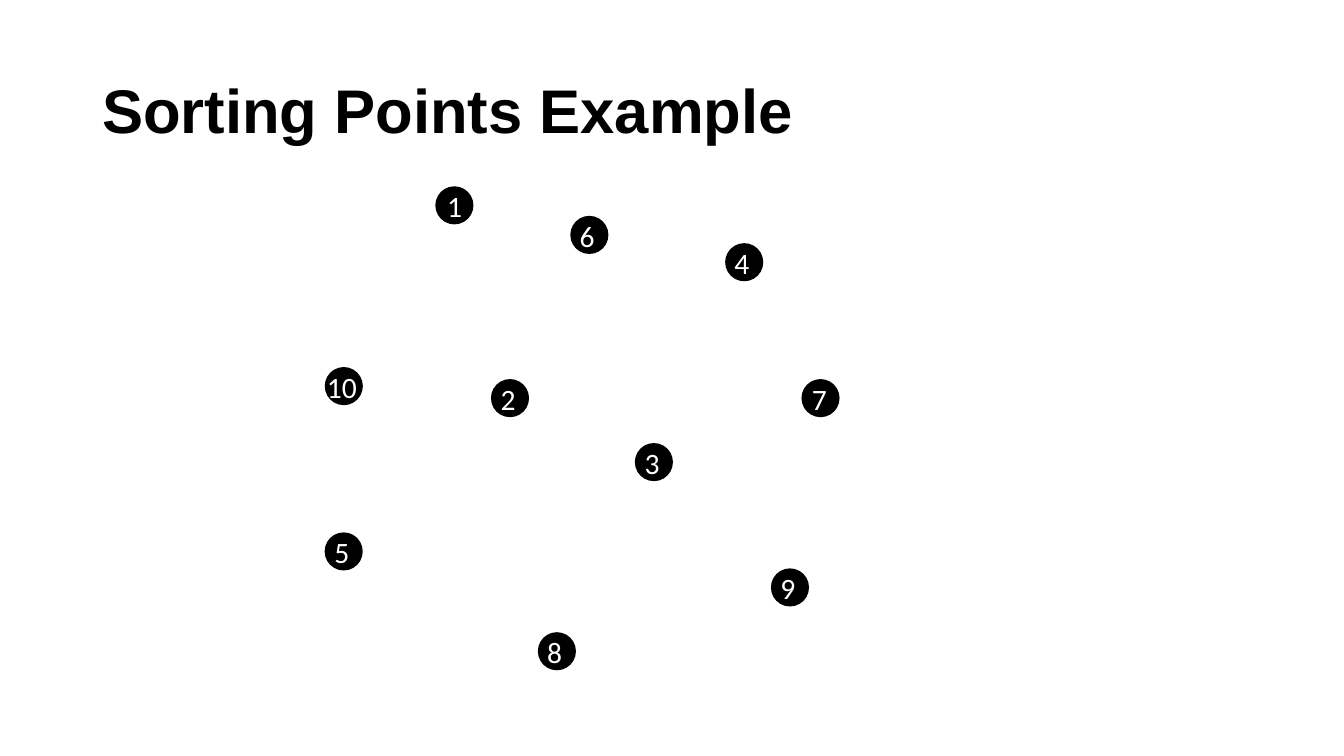
"""Build the slide "Sorting Points Example" with ten numbered points."""
from dataclasses import dataclass

from pptx import Presentation
from pptx.dml.color import RGBColor
from pptx.enum.shapes import MSO_SHAPE
from pptx.enum.text import MSO_ANCHOR, MSO_AUTO_SIZE
from pptx.util import Pt

TITLE = "Sorting Points Example"
POINTS = [
    {"label": "6", "left": 407.4, "top": 154.2, "label_width": 28.1},
    {"label": "10", "left": 232, "top": 262.2, "label_width": 38.2},
    {"label": "2", "left": 350.7, "top": 270.8, "label_width": 27.4},
    {"label": "9", "left": 550.7, "top": 406, "label_width": 28.1},
    {"label": "8", "left": 384.2, "top": 451.6, "label_width": 28.1},
    {"label": "1", "left": 311, "top": 133.1, "label_width": 24.5},
    {"label": "3", "left": 453.5, "top": 316.5, "label_width": 27.4},
    {"label": "5", "left": 231.9, "top": 380.3, "label_width": 27.4},
    {"label": "7", "left": 572.5, "top": 270.8, "label_width": 26.6},
    {"label": "4", "left": 518, "top": 173.7, "label_width": 28.1},
]
SLIDE_SIZE = (960, 540)
TITLE_BOX = (66, 28.8, 828, 104.4)
DOT_SIZE = 27.2
LABEL_HEIGHT = 32.4
LABEL_RISE = 2.3


@dataclass(frozen=True)
class Theme:
    """Colours, fonts and type sizes."""
    black: RGBColor = RGBColor(0, 0, 0)
    white: RGBColor = RGBColor(255, 255, 255)
    title_font: str = "Arial"
    label_font: str = "Calibri"
    title_size: float = 44
    label_size: float = 21.1


THEME = Theme()


def add_text(slide, box, text, font, size, color, bold=False):
    """Add a one-run text box and return its shape."""
    shape = slide.shapes.add_textbox(*map(Pt, box))
    run = shape.text_frame.paragraphs[0].add_run()
    run.text = text
    run.font.name = font
    run.font.size = Pt(size)
    run.font.bold = bold
    run.font.color.rgb = color
    return shape


def add_title(slide):
    """Add the vertically centred heading."""
    shape = add_text(slide, TITLE_BOX, TITLE, THEME.title_font,
                     THEME.title_size, THEME.black, bold=True)
    frame = shape.text_frame
    frame.word_wrap = True
    frame.vertical_anchor = MSO_ANCHOR.MIDDLE
    frame.paragraphs[0].line_spacing = 0.9


def add_point(slide, label, left, top, label_width):
    """Add a black dot with its number centred over it."""
    dot = slide.shapes.add_shape(MSO_SHAPE.OVAL, Pt(left), Pt(top), Pt(DOT_SIZE), Pt(DOT_SIZE))
    dot.shadow.inherit = False
    dot.fill.solid()
    dot.fill.fore_color.rgb = THEME.black
    dot.line.fill.background()

    label_left = left + (DOT_SIZE - label_width) / 2
    box = (label_left, top - LABEL_RISE, label_width, LABEL_HEIGHT)
    shape = add_text(slide, box, label, THEME.label_font, THEME.label_size, THEME.white)
    shape.text_frame.word_wrap = False
    shape.text_frame.auto_size = MSO_AUTO_SIZE.SHAPE_TO_FIT_TEXT


def main():
    """Create the slide and save it."""
    presentation = Presentation()
    presentation.slide_width, presentation.slide_height = map(Pt, SLIDE_SIZE)
    slide = presentation.slides.add_slide(presentation.slide_layouts[6])
    add_title(slide)
    for point in POINTS:
        add_point(slide, **point)
    presentation.save("out.pptx")


if __name__ == "__main__":
    main()
